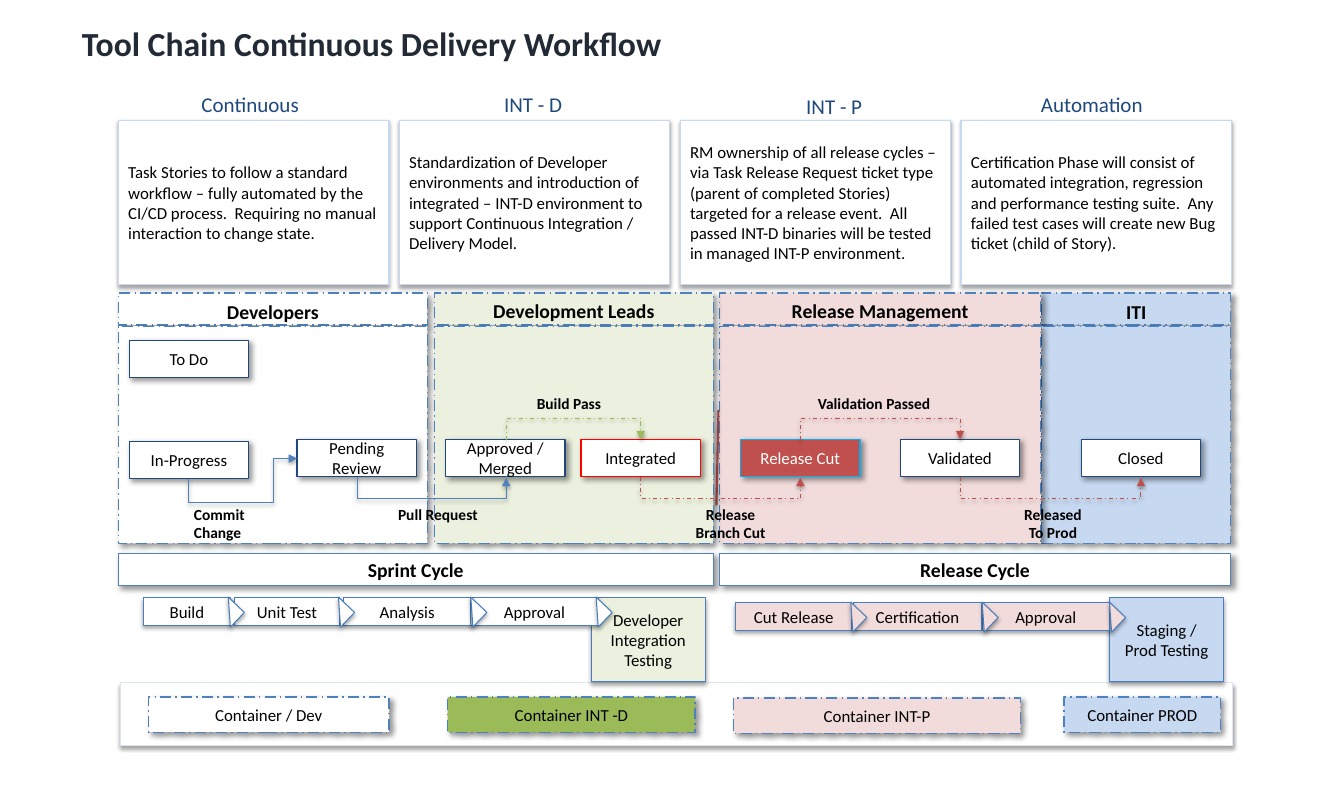
from dataclasses import dataclass

from lxml import etree
from pptx import Presentation
from pptx.dml.color import RGBColor
from pptx.enum import dml, shapes, text
from pptx.oxml.ns import qn
from pptx.util import Inches, Pt


@dataclass(frozen=True)
class Theme:
    font: str = "Calibri"
    ink: str = "000000"
    title: str = "222A35"
    navy: str = "1F497D"
    blue: str = "4F81BD"
    steel: str = "4B7EBC"
    sky: str = "C6D9F1"
    ice: str = "DCE6F2"
    cyan: str = "00B0F0"
    white: str = "FFFFFF"
    green: str = "9BBB59"
    mint: str = "EBF1DE"
    red: str = "C0504D"
    alert: str = "FF0000"
    rose: str = "F2DCDB"
    title_size: int = 24
    label_size: int = 15
    lane_size: int = 14
    body_size: int = 12
    note_size: int = 11


theme = Theme()
# Shadows: opacity %, blur pt, distance pt, angle
SLANTED = (40, 4, 3, 45)
BELOW = (35, 3.1, 1.8, 90)
LINE_SHADOW = (38, 3.1, 1.6, 90)
DASHED = dml.MSO_LINE.LONG_DASH_DOT
CENTER, LEFT = text.PP_ALIGN.CENTER, text.PP_ALIGN.LEFT
RECTANGLE = shapes.MSO_SHAPE.RECTANGLE

deck = Presentation()
deck.slide_width, deck.slide_height = Inches(13.3), Inches(8)
page = deck.slides.add_slide(deck.slide_layouts[5])


def cast_shadow(item, shadow):
    opacity, blur, distance, angle = shadow
    effects = etree.SubElement(item.element.spPr, qn("a:effectLst"))
    outer = etree.SubElement(effects, qn("a:outerShdw"), blurRad=str(Pt(blur)),
                             dist=str(Pt(distance)), dir=str(angle * 60000), rotWithShape="0")
    color = etree.SubElement(outer, qn("a:srgbClr"), val=theme.ink)
    etree.SubElement(color, qn("a:alpha"), val=str(opacity * 1000))


def block(at, words="", fill=None, line=None, shadow=SLANTED, width=1, dash=None,
          size=theme.body_size, color=theme.ink, bold=False, align=CENTER, kind=RECTANGLE):
    place = [Inches(value) for value in at]
    if fill:
        box = page.shapes.add_shape(kind, *place)
        box.fill.solid()
        box.fill.fore_color.rgb = RGBColor.from_string(fill)
        box.line.color.rgb = RGBColor.from_string(line)
        box.line.width = Pt(width)
        box.line.dash_style = dash
        cast_shadow(box, shadow)
    else:
        box = page.shapes.add_textbox(*place)
    frame = box.text_frame
    frame.word_wrap = True
    if fill:
        frame.vertical_anchor = text.MSO_ANCHOR.MIDDLE
    frame.text = words
    for para in frame.paragraphs:
        para.alignment = align
        para.font.name, para.font.size, para.font.bold = theme.font, Pt(size), bold
        para.font.color.rgb = RGBColor.from_string(color)
    return box


# Title
title = page.shapes.title
title.left, title.top, title.width, title.height = map(Inches, (0.69, 0.15, 11.96, 0.56))
frame = title.text_frame
frame.text = "Tool Chain Continuous Delivery Workflow"
frame.vertical_anchor = text.MSO_ANCHOR.MIDDLE
frame.margin_left = frame.margin_right = Inches(0.12)
para = frame.paragraphs[0]
para.alignment = LEFT
para.font.name, para.font.size, para.font.bold = theme.font, Pt(theme.title_size), True
para.font.color.rgb = RGBColor.from_string(theme.title)

# Release divider
divider = page.shapes.add_connector(
    shapes.MSO_CONNECTOR.STRAIGHT, Inches(7.11), Inches(4.06), Inches(7.09), Inches(5))
divider.line.color.rgb = RGBColor.from_string(theme.red)
divider.line.width = Pt(1.5)
cast_shadow(divider, LINE_SHADOW)

# Swimlanes
lanes = [("ITI", 10.31, 1.87, theme.sky, 2.92), ("Release Management", 7.12, 3.18, theme.rose, 2.91),
         ("Developers", 1.17, 3.06, theme.white, 2.92),
         ("Development Leads", 4.3, 2.76, theme.mint, 2.91)]
for top, height in ((2.9, 0.32), (3.23, 2.15)):
    for name, left, width, fill, name_top in lanes:
        block((left, top, width, height), fill=fill, line=theme.blue, dash=DASHED)
for name, left, width, fill, name_top in lanes:
    block((left, name_top, width, 0.34), name, size=theme.lane_size, bold=True)

# Ticket states
for name, left, top, fill, line, color in [
    ("To Do", 1.28, 3.37, theme.white, theme.navy, theme.ink),
    ("In-Progress", 1.28, 4.37, theme.white, theme.navy, theme.ink),
    ("Pending Review", 2.94, 4.35, theme.white, theme.navy, theme.ink),
    ("Approved / Merged", 4.41, 4.35, theme.white, theme.navy, theme.ink),
    ("Integrated", 5.75, 4.35, theme.white, theme.alert, theme.ink),
    ("Release Cut", 7.33, 4.35, theme.red, theme.cyan, theme.white),
    ("Validated", 8.91, 4.35, theme.white, theme.navy, theme.ink),
    ("Closed", 10.7, 4.35, theme.white, theme.navy, theme.ink),
]:
    block((left, top, 1.18, 0.37), name, fill, line, color=color)

# Transitions: each elbow leaves its state vertically, so its box is turned a quarter
DOTTED = dml.MSO_LINE.DASH_DOT
OVER, UNDER = (90, "11"), (270, "10")
DETOUR = (22,)
for start, end, (turn, flips), bends, color, dash in [
    ((5.01, 4.36), (6.34, 4.35), OVER, DETOUR, theme.green, DOTTED),
    ((7.92, 4.36), (9.5, 4.35), OVER, DETOUR, theme.red, DOTTED),
    ((6.34, 4.72), (7.92, 4.73), UNDER, DETOUR, theme.red, DOTTED),
    ((9.5, 4.72), (11.29, 4.73), UNDER, DETOUR, theme.red, DOTTED),
    ((3.54, 4.72), (5.01, 4.73), UNDER, DETOUR, theme.blue, None),
    ((1.87, 4.74), (2.94, 4.54), OVER, (-1.16, 0.78), theme.blue, None),
]:
    across, along = abs(end[1] - start[1]), end[0] - start[0]
    left = (start[0] + end[0] - across) / 2
    top = (start[1] + end[1] - along) / 2
    arrow = page.shapes.add_connector(
        shapes.MSO_CONNECTOR.ELBOW, Inches(left), Inches(top),
        Inches(left + across), Inches(top + along))
    arrow.line.color.rgb = RGBColor.from_string(color)
    arrow.line.width = Pt(0.75)
    arrow.line.dash_style = dash
    properties = arrow.element.spPr
    frame_xml = properties.find(qn("a:xfrm"))
    frame_xml.set("rot", str(turn * 60000))
    frame_xml.set("flipH", flips[0])
    frame_xml.set("flipV", flips[1])
    geometry = properties.find(qn("a:prstGeom"))
    geometry.set("prst", f"bentConnector{len(bends) + 2}")
    guides = geometry.find(qn("a:avLst"))
    for number, bend in enumerate(bends, 1):
        etree.SubElement(guides, qn("a:gd"), name=f"adj{number}", fmla=f"val {round(bend * 100000)}")
    etree.SubElement(properties.find(qn("a:ln")), qn("a:tailEnd"), type="triangle")
    cast_shadow(arrow, LINE_SHADOW)

# Transition labels
for words, left, top, width, align in [
    ("Commit\nChange", 1.82, 4.95, 0.9, LEFT), ("Pull Request", 3.84, 4.95, 1.12, LEFT),
    ("Build Pass", 5.07, 3.85, 1.12, CENTER), ("Release\nBranch Cut", 6.39, 4.95, 1.68, CENTER),
    ("Validation Passed", 7.76, 3.85, 1.78, CENTER), ("Released\nTo Prod", 9.53, 4.95, 1.78, CENTER),
]:
    block((left, top, width, 0.44 if "\n" in words else 0.27), words,
          size=theme.note_size, bold=True, align=align)

# Cycle bars
for name, left, width in (("Sprint Cycle", 1.17, 5.89), ("Release Cycle", 7.12, 5.06)):
    block((left, 5.48, width, 0.32), name, theme.white, theme.blue, size=theme.lane_size, bold=True)

# Environments
block((1.19, 6.76, 11.01, 0.62), fill=theme.white, line=theme.ice, shadow=BELOW, width=0.75)
for name, left, top, width, fill in [
    ("Container / Dev", 1.47, 6.9, 2.38, theme.white), ("Container INT -D", 4.43, 6.9, 2.45, theme.green),
    ("Container INT-P", 7.26, 6.91, 2.84, theme.rose), ("Container PROD", 10.53, 6.9, 1.55, theme.sky),
]:
    block((left, top, width, 0.35), name, fill, theme.blue, dash=DASHED)

# Pipelines: stages run right to left so that each tip overlaps the next stage
for goal, goal_left, goal_fill, top, fill, stages in [
    ("Developer Integration Testing", 5.85, theme.mint, 5.92, theme.white,
     [("Approval", 4.66, 1.26, 5.8), ("Analysis", 3.4, 1.26, 4.56),
      ("Unit Test", 2.32, 1.04, 3.25), ("Build", 1.42, 0.86, 2.16)]),
    ("Staging / Prod Testing", 10.98, theme.sky, 5.97, theme.rose,
     [("Approval", 9.72, 1.26, 10.88), ("Certification", 8.45, 1.26, 9.62),
      ("Cut Release", 7.28, 1.15, 8.32)]),
]:
    block((goal_left, 5.92, 1.13, 0.83), goal, goal_fill, theme.steel, BELOW, 0.75)
    for name, left, width, tip_left in stages:
        block((left, top, width, 0.27), name, fill, theme.steel, BELOW, 0.75)
        tip = block((tip_left, top + 0.04, 0.22, 0.2), "", fill, theme.steel, BELOW, 0.75,
                    kind=shapes.MSO_SHAPE.RIGHT_TRIANGLE)
        tip.rotation = 223.7

# Principle cards
for index, (name, name_left, name_top, words) in enumerate([
    ("Continuous", 1.3, 0.87, "Task Stories to follow a standard workflow – fully automated by the "
     "CI/CD process.  Requiring no manual interaction to change state."),
    ("INT - D", 4.1, 0.87, "Standardization of Developer environments and introduction of integrated "
     "– INT-D environment to support Continuous Integration / Delivery Model."),
    ("INT - P", 7.08, 0.89, "RM ownership of all release cycles – via Task Release Request ticket type "
     "(parent of completed Stories) targeted for a release event.  All passed INT-D binaries will "
     "be tested in managed INT-P environment."),
    ("Automation", 9.63, 0.87, "Certification Phase will consist of automated integration, regression "
     "and performance testing suite.  Any failed test cases will create new Bug ticket (child of Story)."),
]):
    block((1.17 + index * 2.78, 1.19, 2.68, 1.63), words, theme.white, theme.sky, BELOW, 0.75, align=LEFT)
    label = block((name_left, name_top, 2.35, 0.31), name, size=theme.label_size, color=theme.navy)
    label.text_frame.margin_top = Inches(0.04)

deck.save("out.pptx")
